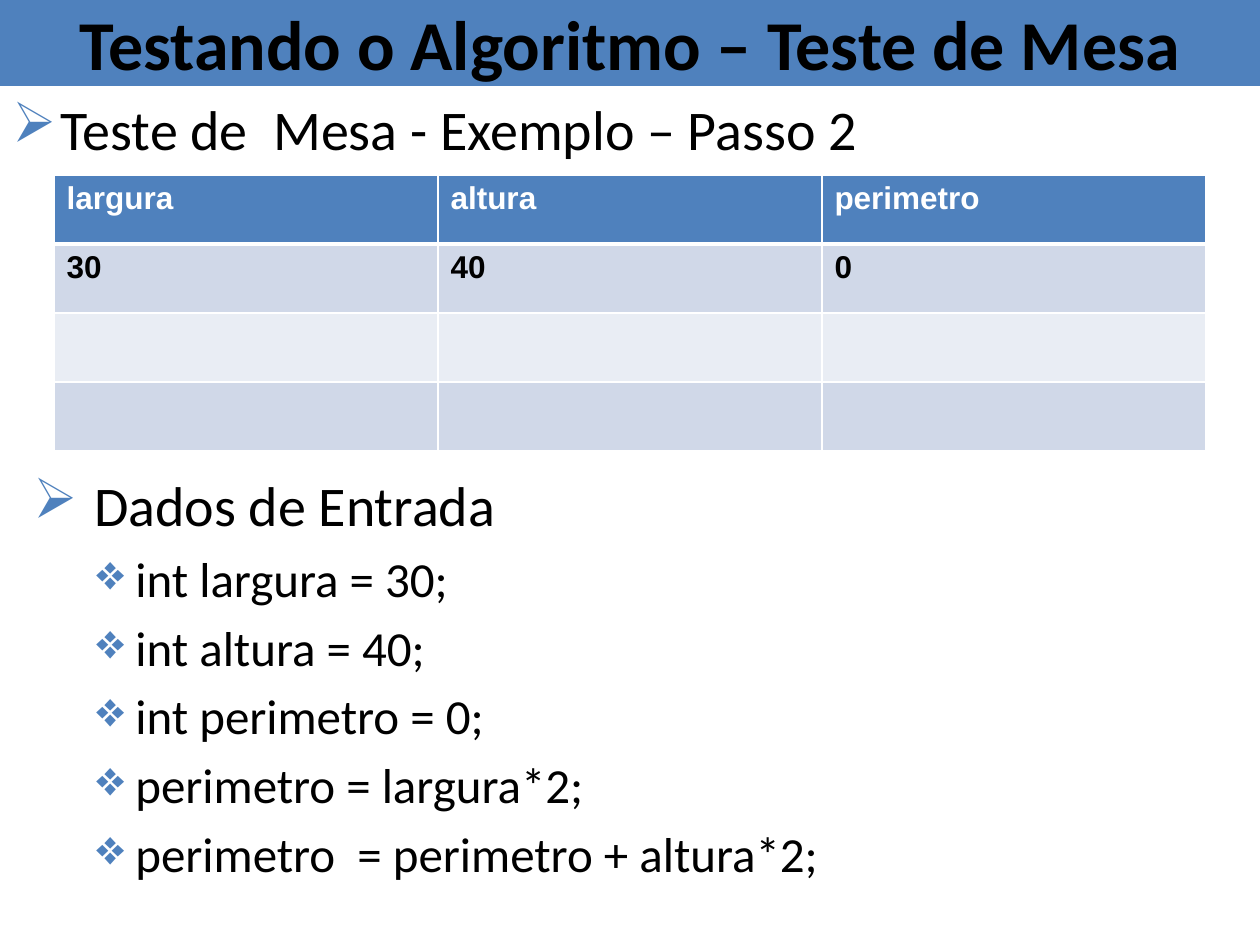
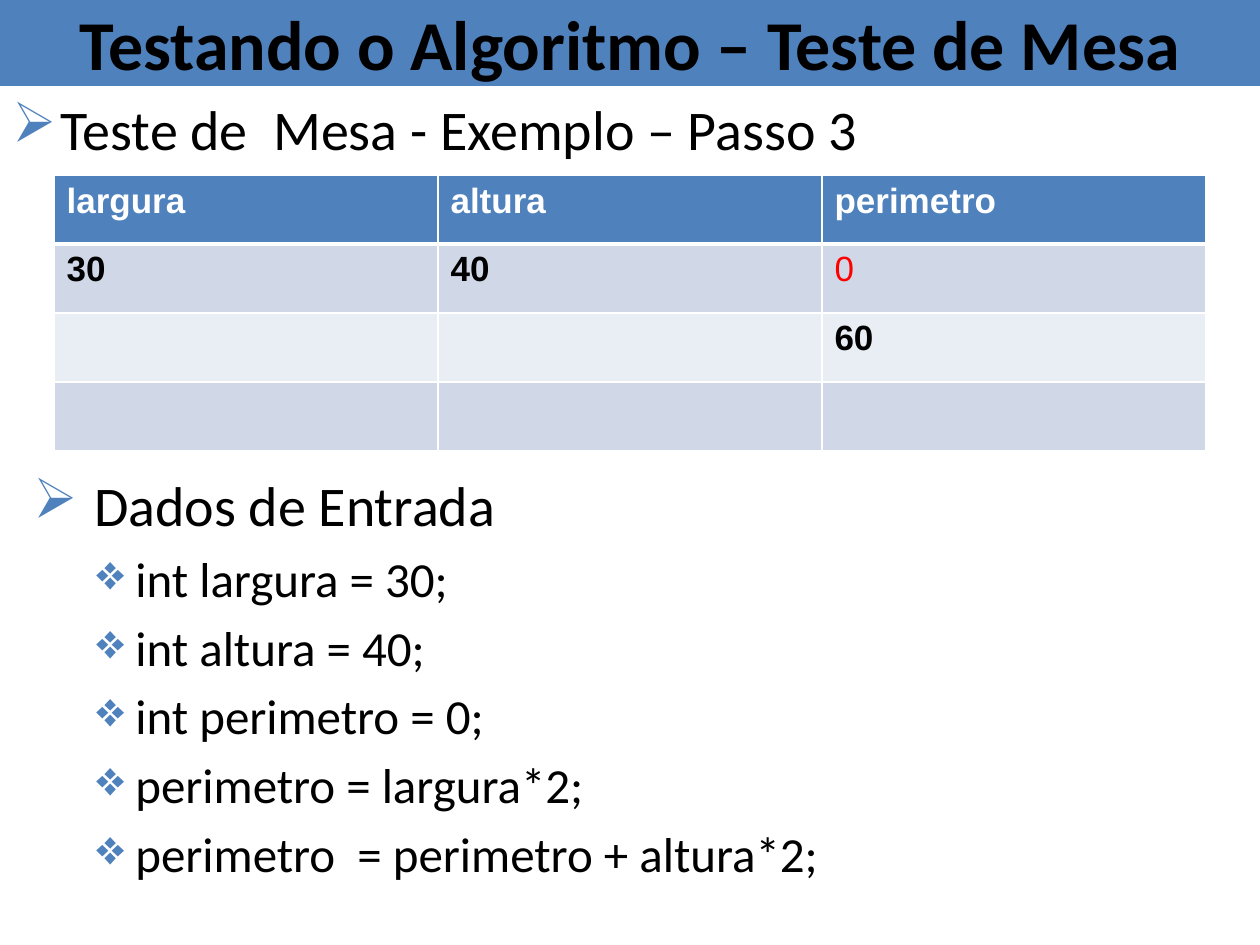
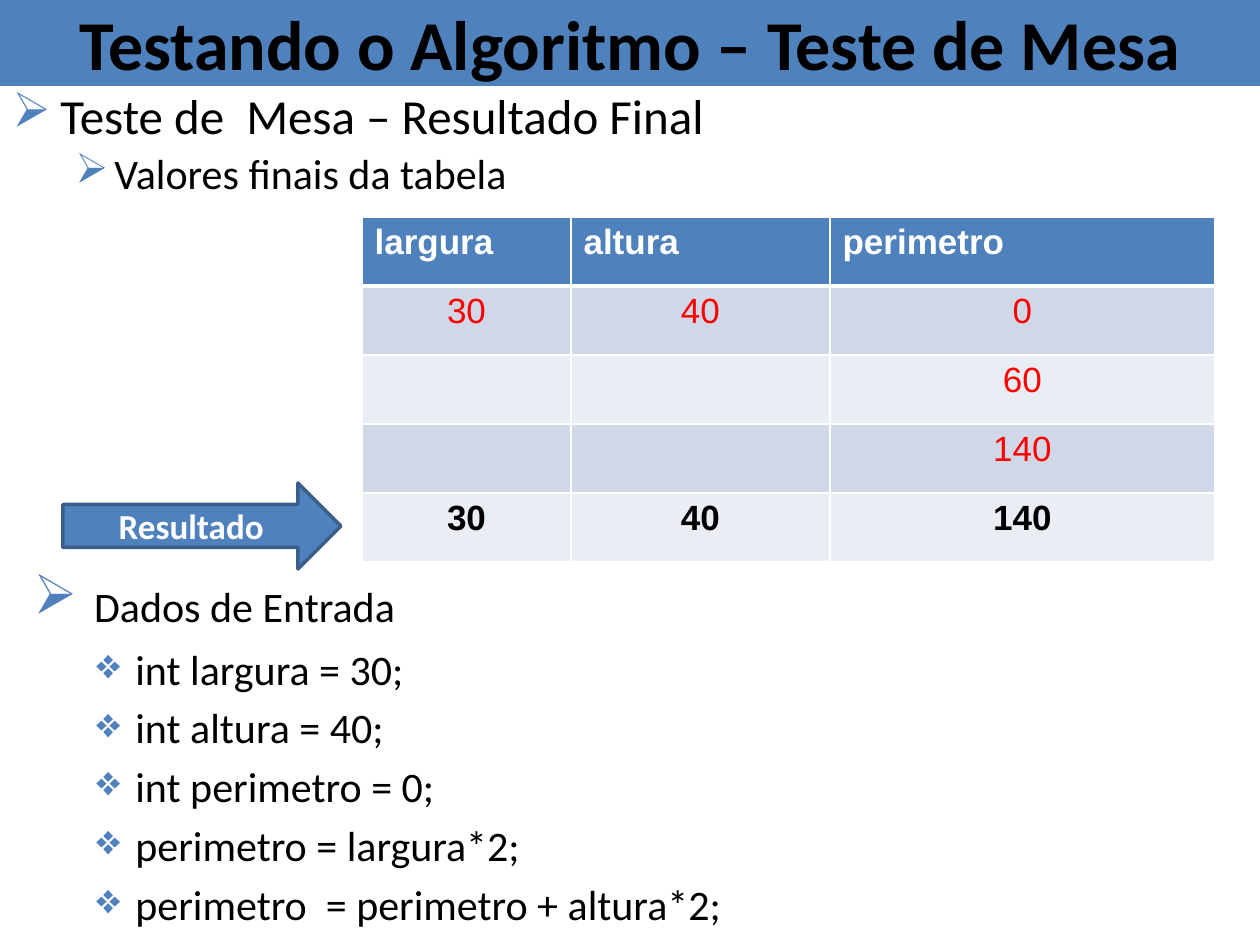
from lxml.etree import SubElement
from pptx import Presentation
from pptx.dml.color import RGBColor
from pptx.enum.shapes import MSO_SHAPE as SHAPE
from pptx.enum.text import MSO_ANCHOR as ANCHOR, PP_ALIGN as ALIGN
from pptx.oxml.ns import qn
from pptx.util import Pt

COLORS = {"blue": "4F81BD", "outline": "3A5F8C", "black": "000000", "white": "FFFFFF",
          "red": "FF0000", "band_dark": "D0D8E8", "band_light": "E9EDF4"}
PX = 914400 / 126
WIDTH, HEIGHT = 1260, 945
BAND_HEIGHT = 86
ROW_HEIGHT = 69
LEVELS = [(48, 48), (102, 39)]
ARROW, DIAMOND = "\u27a2", "\u2756"

TITLE = "Testando o Algoritmo – Teste de Mesa"
VARIABLES = ("largura", "altura", "perimetro")
STATEMENTS = ("int largura = 30;", "int altura = 40;", "int perimetro = 0;",
              "perimetro = largura*2;", "perimetro  = perimetro + altura*2;")
EMPTY = ("", "", "")

STEP = {"heading_box": (0, 96, WIDTH, 79), "table_at": (54, 175), "columns": (384, 384, 384),
        "align": ALIGN.LEFT, "input_box": (21, 472, 1203, 473),
        "input_runs": [(" Dados de Entrada", 32)], "statement_size": 28}
SLIDES = [
    {**STEP, "headings": [("Teste de  Mesa - Exemplo – Passo 2", 32)], "table_size": 18,
     "values": [("30", "40", "0"), EMPTY, EMPTY]},
    {**STEP, "headings": [("Teste de  Mesa - Exemplo – Passo 3", 32)], "table_size": 20,
     "values": [("30", "40", "0"), ("", "", "60"), EMPTY]},
    {"headings": [("Teste de  Mesa – Resultado Final", 28), ("Valores finais da tabela", 24)],
     "heading_box": (0, BAND_HEIGHT, WIDTH, 110),
     "table_at": (362, 217), "columns": (209, 259, 385), "align": ALIGN.CENTER, "table_size": 20,
     "values": [("30", "40", "0"), ("", "", "60"), ("", "", "140"), ("30", "40", "140")],
     "input_box": (21, 568, 1213, 373),
     "input_runs": [(" ", 32), ("Dados de Entrada", 24)], "statement_size": 24,
     "result": ("Resultado", (63, 483, 278, 86))},
]


def emu(*pixels):
    return [round(p * PX) for p in pixels]


def rgb(color):
    return RGBColor.from_string(COLORS[color])


def add_run(paragraph, text, size, color="black", bold=False, font="Calibri"):
    run = paragraph.add_run()
    run.text = text
    run.font.name, run.font.size, run.font.bold = font, Pt(size), bold
    run.font.color.rgb = rgb(color)


def add_label(slide, kind, box, text, size, color, outline=None):
    label = slide.shapes.add_shape(kind, *emu(*box))
    label.shadow.inherit = False
    label.fill.solid()
    label.fill.fore_color.rgb = rgb("blue")
    if outline:
        label.line.color.rgb, label.line.width = rgb(outline), Pt(2)
    else:
        label.line.fill.background()
    label.text_frame.word_wrap = True
    label.text_frame.vertical_anchor = ANCHOR.MIDDLE
    paragraph = label.text_frame.paragraphs[0]
    paragraph.alignment = ALIGN.CENTER
    add_run(paragraph, text, size, color, bold=True)


def add_bullets(slide, box, items):
    frame = slide.shapes.add_textbox(*emu(*box)).text_frame
    frame.word_wrap = True
    for index, (level, bullet, runs) in enumerate(items):
        paragraph = frame.add_paragraph() if index else frame.paragraphs[0]
        paragraph.level = level
        if bullet == ARROW:
            paragraph.line_spacing = 0.9
        margin, hanging = emu(*LEVELS[level])
        props = paragraph._p.get_or_add_pPr()
        props.set("marL", str(margin))
        props.set("indent", str(-hanging))
        SubElement(SubElement(props, qn("a:spcBef")), qn("a:spcPct")).set("val", "20000")
        SubElement(SubElement(props, qn("a:buClr")), qn("a:srgbClr")).set("val", COLORS["blue"])
        SubElement(props, qn("a:buChar")).set("char", bullet)
        for text, size in runs:
            add_run(paragraph, text, size)


def set_borders(cell, top, bottom):
    props = cell._tc.get_or_add_tcPr()
    for side, width in (("L", 1), ("R", 1), ("T", top), ("B", bottom)):
        line = SubElement(props, qn("a:ln" + side), w=str(Pt(width)))
        SubElement(SubElement(line, qn("a:solidFill")), qn("a:srgbClr")).set("val", COLORS["white"])


def add_trace(slide, page):
    rows = [VARIABLES] + page["values"]
    columns = page["columns"]
    box = (*page["table_at"], sum(columns), ROW_HEIGHT * len(rows))
    table = slide.shapes.add_table(len(rows), len(columns), *emu(*box)).table
    for column, width in zip(table.columns, emu(*columns)):
        column.width = width
    for r, row in enumerate(rows):
        table.rows[r].height = emu(ROW_HEIGHT)[0]
        fill = "blue" if r == 0 else "band_dark" if r % 2 else "band_light"
        for c, value in enumerate(row):
            cell = table.cell(r, c)
            set_borders(cell, 3 if r == 1 else 1, 3 if r == 0 else 1)
            cell.fill.solid()
            cell.fill.fore_color.rgb = rgb(fill)
            if not value:
                continue
            replaced = r > 0 and any(later[c] for later in rows[r + 1:])
            color = "white" if r == 0 else "red" if replaced else "black"
            paragraph = cell.text_frame.paragraphs[0]
            paragraph.alignment = page["align"] if r else ALIGN.LEFT
            add_run(paragraph, value, page["table_size"], color, not replaced, "Arial")


deck = Presentation()
deck.slide_width, deck.slide_height = emu(WIDTH, HEIGHT)
for page in SLIDES:
    slide = deck.slides.add_slide(deck.slide_layouts[6])
    add_label(slide, SHAPE.RECTANGLE, (0, 0, WIDTH, BAND_HEIGHT), TITLE, 40, "black")
    add_bullets(slide, page["heading_box"],
                [(level, ARROW, [heading]) for level, heading in enumerate(page["headings"])])
    add_trace(slide, page)
    add_bullets(slide, page["input_box"], [(0, ARROW, page["input_runs"])] + [
        (1, DIAMOND, [(statement, page["statement_size"])]) for statement in STATEMENTS])
    if "result" in page:
        text, box = page["result"]
        add_label(slide, SHAPE.RIGHT_ARROW, box, text, 20, "white", "outline")
deck.save("out.pptx")
